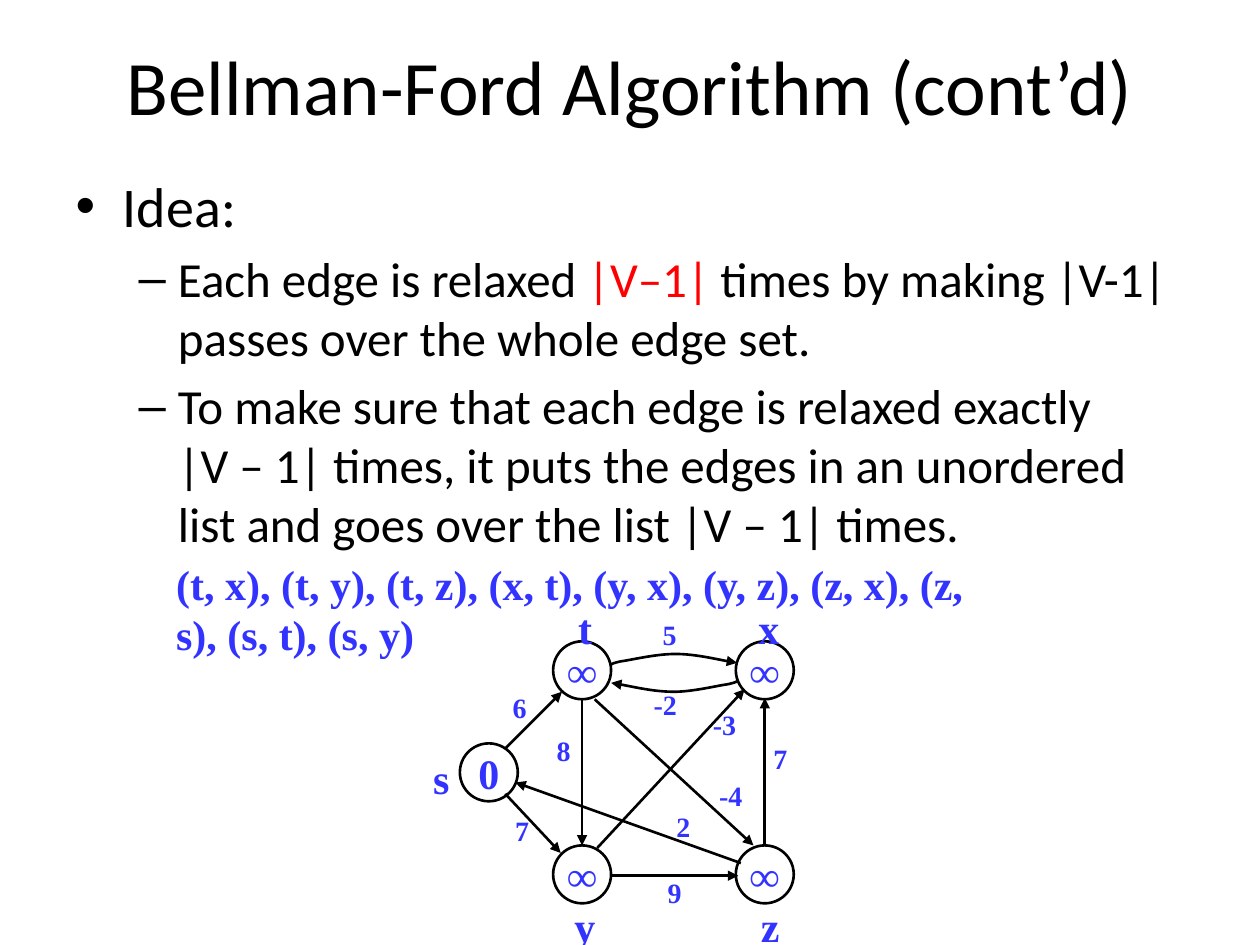
from lxml.etree import SubElement
from pptx import Presentation
from pptx.dml.color import RGBColor
from pptx.enum.shapes import MSO_CONNECTOR, MSO_SHAPE
from pptx.enum.text import MSO_ANCHOR, MSO_AUTO_SIZE, PP_ALIGN
from pptx.oxml.ns import qn
from pptx.util import Inches, Pt

BLACK = RGBColor(0x00, 0x00, 0x00)
RED = RGBColor(0xFF, 0x00, 0x00)
BLUE = RGBColor(0x33, 0x33, 0xFF)
BODY_FONT, GRAPH_FONT = "Calibri", "Times New Roman"

TITLE = "Bellman-Ford Algorithm (cont’d)"
LINE_BREAK = "\v"
# (level, size, [(text, colour)])
IDEAS = [
    (0, 32, [("Idea:", BLACK)]),
    (1, 28, [("Each edge is relaxed ", BLACK), ("|V–1|", RED),
             (" times by making |V-1| passes over the whole edge set.", BLACK)]),
    (1, 28, [("To make sure that each edge is relaxed exactly", BLACK), (LINE_BREAK, BLACK),
             ("|V – 1| times, it puts the edges in an unordered list "
              "and goes over the list |V – 1| times.", BLACK)]),
]
EDGE_LIST = "(t, x), (t, y), (t, z), (x, t), (y, x), (y, z), (z, x), (z, s), (s, t), (s, y)"

# Graph grid: left edges of the node columns, top edges of the node rows
COLUMNS = {"source": 3.65, "left": 4.39, "right": 5.84}
ROWS = {"top": 5.09, "middle": 5.9, "bottom": 6.71}
NODE_SIZE = 0.46
NODES = [("0", "source", "middle"), ("∞", "left", "top"), ("∞", "right", "top"),
         ("∞", "left", "bottom"), ("∞", "right", "bottom")]
# (name, left, top, width)
NODE_NAMES = [("s", 3.34, 5.92, 0.33), ("t", 4.49, 4.73, 0.27), ("x", 5.92, 4.73, 0.33),
              ("y", 4.46, 7.1, 0.33), ("z", 5.94, 7.1, 0.33)]
# (weight, left, top)
WEIGHTS = [("6", 3.97, 5.43), ("5", 5.16, 4.85), ("7", 3.99, 6.41), ("7", 6.04, 5.84),
           ("9", 5.2, 6.9), ("8", 4.32, 5.77), ("-3", 5.56, 5.57), ("2", 5.27, 6.38),
           ("-4", 5.61, 6.13), ("-2", 5.09, 5.41)]
# (start, end), the arrowhead is at the end
STRAIGHT_EDGES = [
    ((4.01, 5.94), (4.46, 5.49)),  # s to t
    ((4.01, 6.3), (4.45, 6.77)),   # s to y
    ((4.86, 6.95), (5.86, 6.95)),  # y to z
    ((4.74, 6.73), (5.91, 5.47)),  # y to x
    ((5.88, 6.85), (4.09, 6.21)),  # z to s
    ((4.62, 5.54), (4.62, 6.71)),  # t to y
    ((6.07, 6.71), (6.07, 5.54)),  # z to x
    ((4.72, 5.55), (5.98, 6.71)),  # t to z
]
# Start point, then control, control and end point of each Bézier piece
CURVED_EDGES = [
    [(4.86, 5.28), (4.85, 5.27), (4.84, 5.27), (4.92, 5.25), (5, 5.24),
     (5.2, 5.19), (5.36, 5.19), (5.51, 5.19), (5.77, 5.25), (5.85, 5.26)],
    [(5.84, 5.4), (5.85, 5.41), (5.86, 5.41), (5.78, 5.43), (5.7, 5.44),
     (5.5, 5.49), (5.35, 5.49), (5.19, 5.49), (4.93, 5.43), (4.85, 5.42)],
]


def box(*lengths):
    return [Inches(length) for length in lengths]


def style_font(font, size, name, colour, bold=False):
    font.size, font.name, font.bold = Pt(size), name, bold
    font.color.rgb = colour


def style_line(shape):
    shape.line.color.rgb = BLACK
    shape.line.width = Pt(1.5)


def finish_edge(edge):
    """Black line with an arrowhead and no shadow."""
    style_line(edge)
    properties = edge._element.spPr
    SubElement(properties.find(qn("a:ln")), qn("a:tailEnd"), type="triangle")
    SubElement(properties, qn("a:effectLst"))


def add_label(slide, text, left, top, width, height, size, wrap=False):
    label = slide.shapes.add_textbox(*box(left, top, width, height))
    frame = label.text_frame
    frame.text = text
    frame.word_wrap = wrap
    frame.auto_size = MSO_AUTO_SIZE.SHAPE_TO_FIT_TEXT
    style_font(frame.paragraphs[0].runs[0].font, size, GRAPH_FONT, BLUE, True)


def add_node(slide, distance, column, row):
    node = slide.shapes.add_shape(
        MSO_SHAPE.OVAL, *box(COLUMNS[column], ROWS[row], NODE_SIZE, NODE_SIZE))
    node.shadow.inherit = False
    node.fill.background()
    style_line(node)
    frame = node.text_frame
    frame.text = distance
    frame.word_wrap = False
    frame.vertical_anchor = MSO_ANCHOR.MIDDLE
    frame.paragraphs[0].alignment = PP_ALIGN.CENTER
    style_font(frame.paragraphs[0].runs[0].font, 24, GRAPH_FONT, BLUE, True)


def add_curve(slide, points):
    """Draw the points as lines, then merge every three lines into a Bézier piece."""
    start, *rest = [tuple(box(*point)) for point in points]
    builder = slide.shapes.build_freeform(*start)
    builder.add_line_segments(rest, close=False)
    curve = builder.convert_to_shape()
    curve.fill.background()
    outline = curve._element.find(".//" + qn("a:path"))
    lines = outline.findall(qn("a:lnTo"))
    for first in range(0, len(lines), 3):
        piece = SubElement(outline, qn("a:cubicBezTo"))
        for line in lines[first:first + 3]:
            piece.append(line[0])
            outline.remove(line)
    finish_edge(curve)


def fill_placeholders(slide):
    title, body = slide.shapes.title, slide.placeholders[1]
    title.left, title.top, title.width, title.height = box(0.5, 0.05, 9, 1.25)
    title.text_frame.text = TITLE
    style_font(title.text_frame.paragraphs[0].runs[0].font, 44, BODY_FONT, BLACK)

    body.left, body.top, body.width, body.height = box(0.5, 1.31, 9, 4.95)
    frame = body.text_frame
    for index, (level, size, parts) in enumerate(IDEAS):
        paragraph = frame.add_paragraph() if index else frame.paragraphs[0]
        paragraph.level = level
        for text, colour in parts:
            if text == LINE_BREAK:
                paragraph.add_line_break()
                continue
            run = paragraph.add_run()
            run.text = text
            style_font(run.font, size, BODY_FONT, colour)


def main():
    presentation = Presentation()
    presentation.slide_width, presentation.slide_height = box(10, 7.5)
    slide = presentation.slides.add_slide(presentation.slide_layouts[1])
    fill_placeholders(slide)
    for node in NODES:
        add_node(slide, *node)
    for start, end in STRAIGHT_EDGES:
        finish_edge(slide.shapes.add_connector(MSO_CONNECTOR.STRAIGHT, *box(*start, *end)))
    for points in CURVED_EDGES:
        add_curve(slide, points)
    for weight, left, top in WEIGHTS:
        add_label(slide, weight, left, top, 0.24 + 0.08 * len(weight), 0.37, 16)
    for name, left, top, width in NODE_NAMES:
        add_label(slide, name, left, top, width, 0.4, 24)
    add_label(slide, EDGE_LIST, 1.3, 4.38, 6.73, 0.4, 24, wrap=True)
    presentation.save("out.pptx")


if __name__ == "__main__":
    main()
